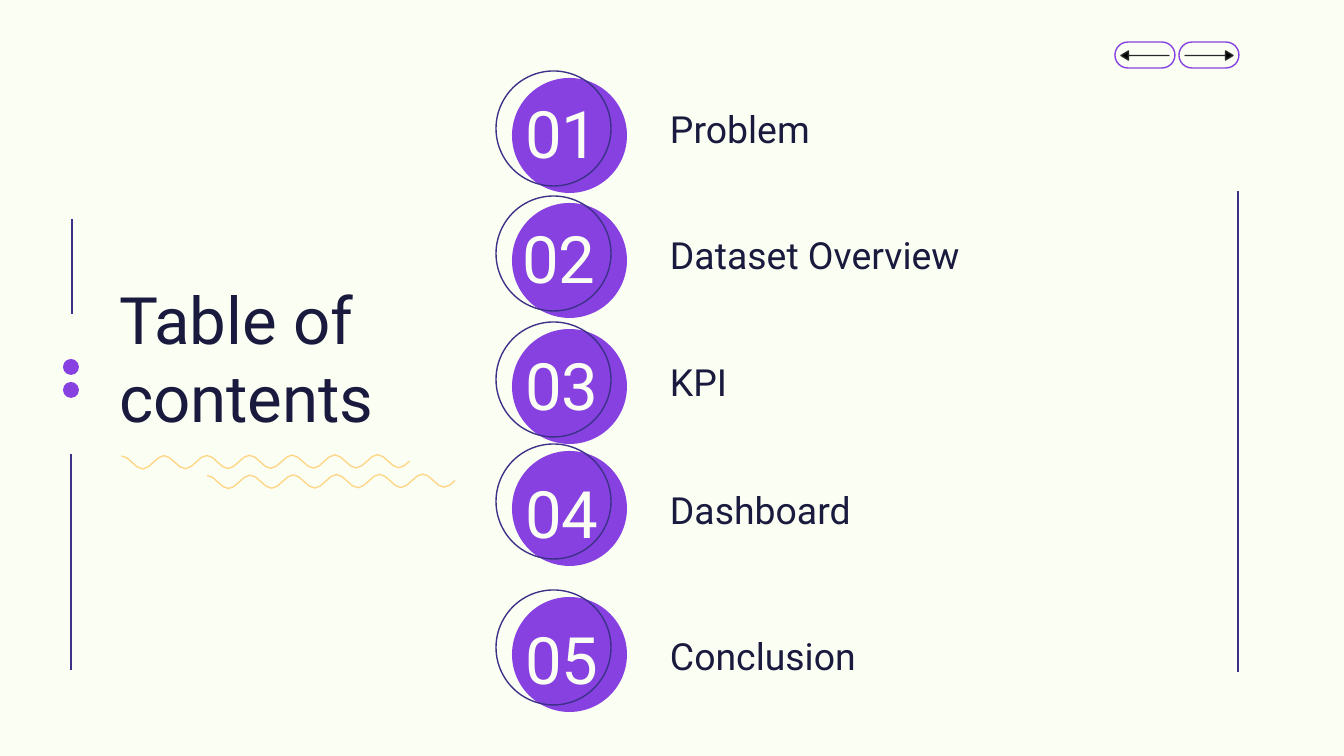
from math import cos, pi, radians, sin

from lxml import etree
from pptx import Presentation
from pptx.dml.color import RGBColor
from pptx.enum.shapes import MSO_CONNECTOR, MSO_SHAPE
from pptx.enum.text import MSO_ANCHOR, PP_ALIGN
from pptx.oxml.ns import qn
from pptx.util import Pt

OVAL = MSO_SHAPE.OVAL
PILL = MSO_SHAPE.ROUNDED_RECTANGLE
ARROW = MSO_SHAPE.RIGHT_ARROW
STRAIGHT = MSO_CONNECTOR.STRAIGHT
MIDDLE = MSO_ANCHOR.MIDDLE
BOTTOM = MSO_ANCHOR.BOTTOM
LEFT = PP_ALIGN.LEFT
CENTER = PP_ALIGN.CENTER

WIDTH, HEIGHT = 1344, 756
SCALE = 9144000 / WIDTH
FONT = "Roboto"
CREAM = "FBFEF3"
NAVY = "191A3D"
PURPLE = "8641E0"
INDIGO = "3C3188"
GOLD = "FED687"
BLACK = "000000"
CHARCOAL = "282828"
LINE_WIDTH = 0.75

WAVE_TILT = 35
WAVE_PERIOD = 42.5
WAVE_HEIGHT = 6.5
STEPS_PER_PERIOD = 8

CONTENTS = [
    ("01", "Problem", 71, 508, 69, 105),
    ("02", "Dataset Overview", 196, 505, 194, 231),
    ("03", "KPI", 322, 508, 321, 358),
    ("04", "Dashboard", 444, 508, 449, 486),
    ("05", "Conclusion", 590, 508, 595, 632),
]


def px(length):
    return round(length * SCALE)


def color(hex_text):
    return RGBColor.from_string(hex_text)


def paint(shape, fill=None, line=None):
    shape.shadow.inherit = False
    if fill:
        shape.fill.solid()
        shape.fill.fore_color.rgb = color(fill)
    else:
        shape.fill.background()
    if line:
        shape.line.color.rgb = color(line)
        shape.line.width = Pt(LINE_WIDTH)
    else:
        shape.line.fill.background()


def add_shape(page, kind, box, fill=None, line=None, adjust=()):
    shape = page.shapes.add_shape(kind, *map(px, box))
    for index, value in enumerate(adjust):
        shape.adjustments[index] = value
    paint(shape, fill, line)
    return shape


def add_text(page, text, box, size=20, ink=NAVY, align=LEFT, anchor=MIDDLE):
    frame = page.shapes.add_textbox(*map(px, box)).text_frame
    frame.word_wrap = True
    frame.vertical_anchor = anchor
    frame.margin_left = frame.margin_right = px(13)
    frame.margin_top = frame.margin_bottom = px(13)
    para = frame.paragraphs[0]
    para.alignment = align
    span = para.add_run()
    span.text = text
    span.font.name = FONT
    span.font.size = Pt(size)
    span.font.color.rgb = color(ink)


def add_rule(page, x, top, bottom):
    rule = page.shapes.add_connector(STRAIGHT, px(x), px(top), px(x), px(bottom))
    rule.line.color.rgb = color(INDIGO)
    rule.line.width = Pt(LINE_WIDTH)
    etree.SubElement(rule._element.spPr, qn("a:effectLst"))


def add_wave(page, box, steps):
    tilt = radians(WAVE_TILT)
    points = []
    for step in range(steps + 1):
        x = step * WAVE_PERIOD / STEPS_PER_PERIOD
        y = -WAVE_HEIGHT * cos(2 * pi * step / STEPS_PER_PERIOD)
        points.append((px(x * cos(tilt) + y * sin(tilt)),
                       px(y * cos(tilt) - x * sin(tilt))))
    builder = page.shapes.build_freeform(*points[0])
    builder.add_line_segments(points[1:], close=False)
    wave = builder.convert_to_shape()
    wave.left, wave.top, wave.width, wave.height = map(px, box)
    wave.rotation = WAVE_TILT
    paint(wave, line=GOLD)


def add_side_rules(page, left, top):
    for dot_top in (163, 140):
        add_shape(page, OVAL, (left, top + dot_top, 16, 16), fill=PURPLE)
    add_rule(page, left + 8, top + 235, top + 451)
    add_rule(page, left + 9, top, top + 95)


def add_heading(page, left, top):
    add_text(page, "Table of contents", (left, top, 366, 235), size=35)
    add_wave(page, (left + 40, top + 138, 239, 161), 54)
    add_wave(page, (left + 122, top + 169, 206, 138), 46)


def add_entry(page, left, entry):
    number, label, ring_top, number_left, number_top, label_top = entry
    add_shape(page, OVAL, (left + 16, ring_top + 7, 115, 115), fill=PURPLE)
    add_shape(page, OVAL, (left, ring_top, 115, 115), line=INDIGO)
    add_text(page, label, (left + 161, label_top, 547, 59), anchor=BOTTOM)
    add_text(page, number, (number_left, number_top, 108, 127),
             size=35, ink=CREAM, align=CENTER)


def add_navigation(page, left, top):
    for index, turn in enumerate((180, 0)):
        button_left = left + 64 * index
        add_shape(page, PILL, (button_left, top, 60, 26),
                  line=PURPLE, adjust=(0.5,))
        arrow = add_shape(page, ARROW, (button_left + 6, top + 9, 48, 9),
                          fill=BLACK, line=CHARCOAL, adjust=(0, 0.82))
        arrow.rotation = turn


def main():
    deck = Presentation()
    deck.slide_width = px(WIDTH)
    deck.slide_height = px(HEIGHT)
    page = deck.slides.add_slide(deck.slide_layouts[6])
    page.background.fill.solid()
    page.background.fill.fore_color.rgb = color(CREAM)
    add_side_rules(page, 63, 219)
    add_rule(page, 1238, 191, 672)
    add_heading(page, 106, 240)
    for entry in CONTENTS:
        add_entry(page, 496, entry)
    add_navigation(page, 1115, 42)
    deck.save("out.pptx")


if __name__ == "__main__":
    main()
